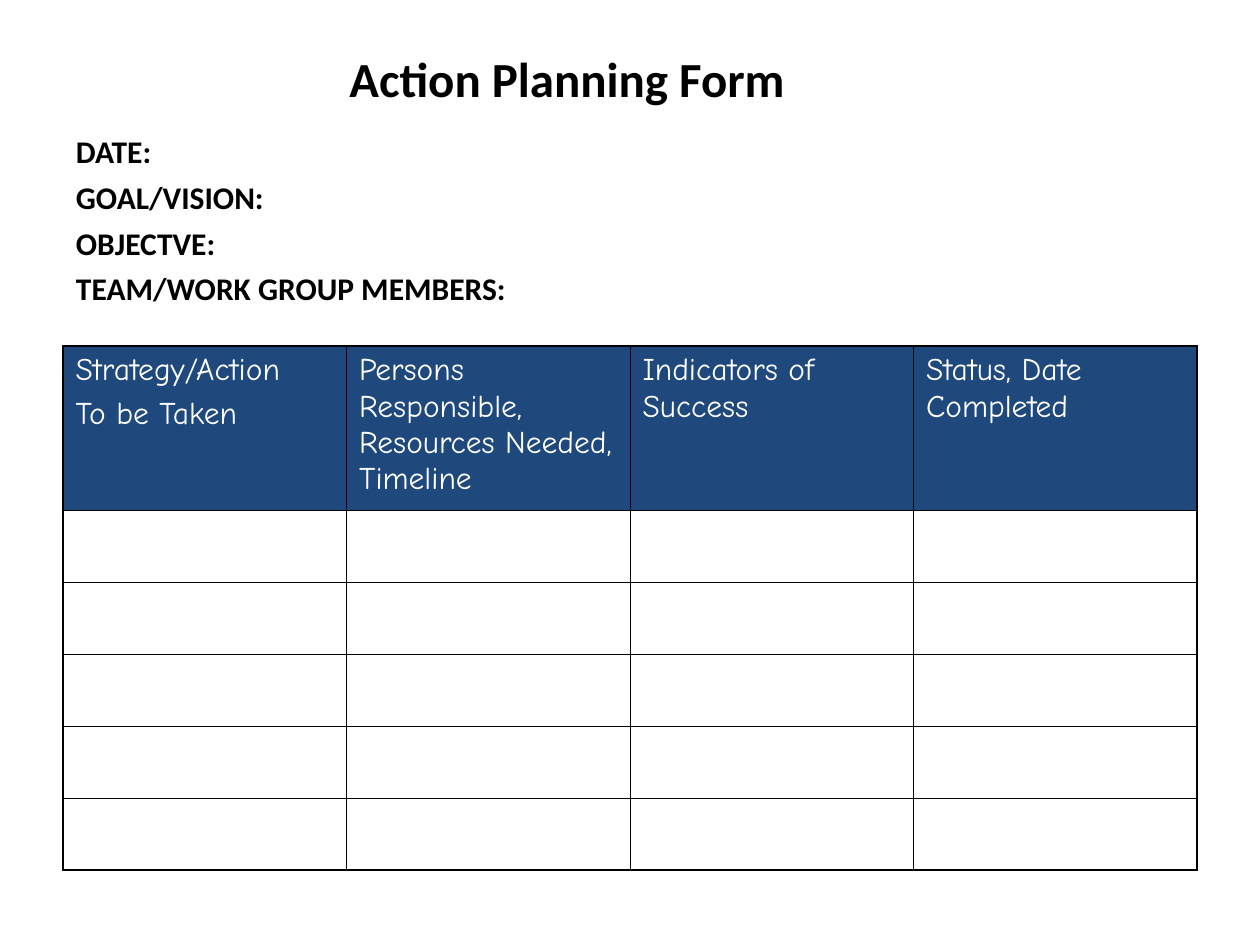
from dataclasses import dataclass

from lxml import etree
from pptx import Presentation
from pptx.dml.color import RGBColor
from pptx.enum.text import MSO_ANCHOR, MSO_AUTO_SIZE, PP_ALIGN
from pptx.oxml.ns import qn
from pptx.util import Emu, Pt

BLACK = RGBColor(0x00, 0x00, 0x00)
WHITE = RGBColor(0xFF, 0xFF, 0xFF)
NAVY = RGBColor(0x1F, 0x49, 0x7D)
TOP = MSO_ANCHOR.TOP
NO_AUTOFIT = MSO_AUTO_SIZE.NONE
CENTER, LEFT = PP_ALIGN.CENTER, PP_ALIGN.LEFT

PX_PER_INCH = 126
OUTER, INNER = Pt(1.08), Pt(0.45)
SPACE_BEFORE = Pt(4.5)


@dataclass(frozen=True)
class Box:
    left: int
    top: int
    width: int
    height: int


@dataclass(frozen=True)
class Style:
    font: str
    size: int
    color: RGBColor
    bold: bool = False
    align: int = LEFT


TITLE = Style("Calibri", 28, BLACK, True, CENTER)
LABEL = Style("Calibri", 18, BLACK, True)
HEADER = Style("Comic Neue", 18, WHITE)

TITLE_BOX = Box(0, 42, 1134, 116)
LABEL_BOX = Box(0, 126, 1207, 210)
LABEL_INDENT = 76
TABLE_BOX = Box(63, 346, 1134, 524)
HEADER_HEIGHT = 164
BODY_ROWS = 5

LABELS = ["DATE:", "GOAL/VISION:", "OBJECTVE:", "TEAM/WORK GROUP MEMBERS:"]
HEADERS = [
    "Strategy/Action\nTo be Taken",
    "Persons Responsible, Resources Needed, Timeline",
    "Indicators of Success",
    "Status, Date Completed",
]


def px(n: int) -> Emu:
    return Emu(round(n * 914400 / PX_PER_INCH))


def place(box: Box) -> tuple:
    return px(box.left), px(box.top), px(box.width), px(box.height)


def write(tf, text: str, style: Style) -> None:
    """Fill a text frame, one paragraph for each line of text."""
    tf.text = text
    tf.word_wrap = True
    for i, p in enumerate(tf.paragraphs):
        p.alignment = style.align
        if i:
            p.space_before = SPACE_BEFORE
        for r in p.runs:
            r.font.name = style.font
            r.font.size = Pt(style.size)
            r.font.bold = style.bold
            r.font.color.rgb = style.color


def set_borders(cell, **widths: int) -> None:
    """Draw black cell borders; the keys are L, R, T and B in schema order."""
    tc_pr = cell._tc.get_or_add_tcPr()
    for side, width in widths.items():
        ln = etree.SubElement(tc_pr, qn(f"a:ln{side}"), w=str(int(width)))
        fill = etree.SubElement(ln, qn("a:solidFill"))
        etree.SubElement(fill, qn("a:srgbClr"), val=str(BLACK))


def add_title(s) -> None:
    title = s.shapes.title
    title.left, title.top, title.width, title.height = place(TITLE_BOX)
    tf = title.text_frame
    tf.vertical_anchor = TOP
    tf.auto_size = NO_AUTOFIT
    write(tf, "Action Planning Form", TITLE)


def add_labels(s) -> None:
    tf = s.shapes.add_textbox(*place(LABEL_BOX)).text_frame
    tf.margin_left = px(LABEL_INDENT)
    write(tf, "\n".join(LABELS), LABEL)


def add_plan_table(s) -> None:
    rows, cols = BODY_ROWS + 1, len(HEADERS)
    table = s.shapes.add_table(rows, cols, *place(TABLE_BOX)).table
    table.first_row = table.horz_banding = False

    # Equal columns, and equal rows below the header
    for column in table.columns:
        column.width = px(TABLE_BOX.width) // cols
    body_height = px(TABLE_BOX.height - HEADER_HEIGHT) // BODY_ROWS
    for i, row in enumerate(table.rows):
        row.height = body_height if i else px(HEADER_HEIGHT)

    # Thick outer frame, thin inner grid
    for i in range(rows):
        for j in range(cols):
            cell = table.cell(i, j)
            set_borders(
                cell,
                L=OUTER if j == 0 else INNER,
                R=OUTER if j == cols - 1 else INNER,
                T=OUTER if i == 0 else INNER,
                B=OUTER if i == rows - 1 else INNER,
            )
            if i:
                cell.fill.background()
            else:
                cell.fill.solid()
                cell.fill.fore_color.rgb = NAVY
                write(cell.text_frame, HEADERS[j], HEADER)


def main() -> None:
    prs = Presentation()
    prs.slide_width, prs.slide_height = px(1260), px(945)
    s = prs.slides.add_slide(prs.slide_layouts[5])  # title only
    add_plan_table(s)
    add_labels(s)
    add_title(s)
    prs.save("out.pptx")


if __name__ == "__main__":
    main()
